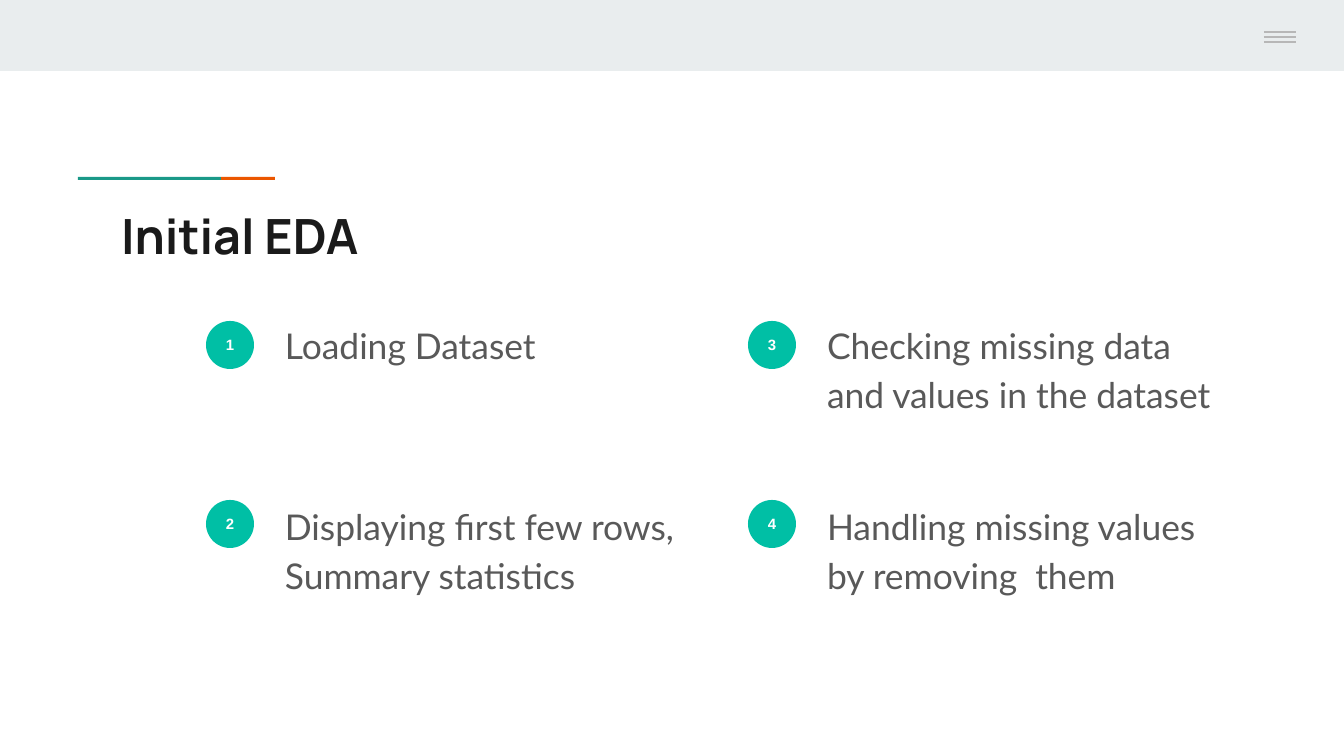
from itertools import product

from lxml.etree import SubElement
from pptx import Presentation
from pptx.dml.color import RGBColor
from pptx.enum.shapes import MSO_CONNECTOR, MSO_SHAPE
from pptx.enum.text import MSO_ANCHOR, MSO_AUTO_SIZE, PP_ALIGN
from pptx.oxml.ns import qn
from pptx.util import Pt

EMU_PER_PX = 914400 / 134.4
COLORS = {
    "band": "E9EDEE",
    "orange": "EB5600",
    "teal": "1A9988",
    "menu": "B7B7B7",
    "title": "1A1A1A",
    "badge": "00BFA5",
    "white": "FFFFFF",
    "body": "595959",
}
FONTS = {
    "title": {"name": "Manrope", "size": Pt(26), "bold": True},
    "badge": {"name": "Arial", "size": Pt(8), "bold": True},
    "body": {"name": "Lato", "size": Pt(19), "bold": False},
}
FRAME = {"word_wrap": True, "auto_size": MSO_AUTO_SIZE.NONE}
MARGINS = ("margin_left", "margin_top", "margin_right", "margin_bottom")
TITLE_FORMAT = {"alignment": PP_ALIGN.LEFT}
BADGE_FORMAT = {"alignment": PP_ALIGN.CENTER}
BODY_FORMAT = {"alignment": PP_ALIGN.LEFT, "line_spacing": 1.15, "space_after": Pt(16)}

# Steps run down the first column, then down the second
STEPS = [
    "Loading Dataset",
    "Displaying first few rows, Summary statistics",
    "Checking missing data and values in the dataset",
    "Handling missing values by removing  them",
]
COLUMNS = (206, 748)
ROWS = (321, 500)


def px(length):
    return round(length * EMU_PER_PX)


def color(name):
    return RGBColor.from_string(COLORS[name])


def apply_format(target, values):
    for attribute, value in values.items():
        setattr(target, attribute, value)


def write_text(shape, text, font, font_color, paragraph_format, anchor=MSO_ANCHOR.TOP):
    frame = shape.text_frame
    margins = dict.fromkeys(MARGINS, px(13))
    apply_format(frame, {**FRAME, **margins, "vertical_anchor": anchor})
    paragraph = frame.paragraphs[0]
    paragraph.text = text
    apply_format(paragraph, paragraph_format)
    apply_format(paragraph.font, FONTS[font])
    paragraph.font.color.rgb = color(font_color)


def add_filled_shape(slide, kind, box, fill):
    shape = slide.shapes.add_shape(kind, *map(px, box))
    shape.shadow.inherit = False
    shape.fill.solid()
    shape.fill.fore_color.rgb = color(fill)
    shape.line.fill.background()
    return shape


def add_menu_line(slide, y):
    line = slide.shapes.add_connector(
        MSO_CONNECTOR.STRAIGHT, px(1264), px(y), px(1296), px(y)
    )
    line.line.color.rgb = color("menu")
    line.line.width = Pt(0.75)
    SubElement(line.element.spPr, qn("a:effectLst"))


def add_title(slide, text):
    title = slide.shapes.title
    box = map(px, (108, 193, 1130, 79))
    apply_format(title, dict(zip(("left", "top", "width", "height"), box)))
    write_text(title, text, "title", "title", TITLE_FORMAT)


def add_step(slide, number, text, left, top, text_top):
    badge = add_filled_shape(slide, MSO_SHAPE.OVAL, (left, top, 48, 48), "badge")
    write_text(badge, str(number), "badge", "white", BADGE_FORMAT, MSO_ANCHOR.MIDDLE)
    label = slide.shapes.add_textbox(*map(px, (left + 66, text_top, 417, 155)))
    write_text(label, text, "body", "body", BODY_FORMAT)


def main():
    presentation = Presentation()
    presentation.slide_width, presentation.slide_height = px(1344), px(756)
    slide = presentation.slides.add_slide(presentation.slide_layouts[5])

    # Top band with the menu icon
    add_filled_shape(slide, MSO_SHAPE.RECTANGLE, (0, 0, 1344, 71), "band")
    for y in (32, 37, 42):
        add_menu_line(slide, y)

    # Two-colour accent above the title
    add_filled_shape(slide, MSO_SHAPE.RECTANGLE, (78, 177, 143, 3), "teal")
    add_filled_shape(slide, MSO_SHAPE.RECTANGLE, (221, 177, 54, 3), "orange")
    add_title(slide, "Initial EDA")

    # Numbered steps
    text_tops = dict(zip(ROWS, (305, 486)))
    for number, (text, (left, top)) in enumerate(zip(STEPS, product(COLUMNS, ROWS)), 1):
        add_step(slide, number, text, left, top, text_tops[top])

    presentation.save("out.pptx")


if __name__ == "__main__":
    main()
